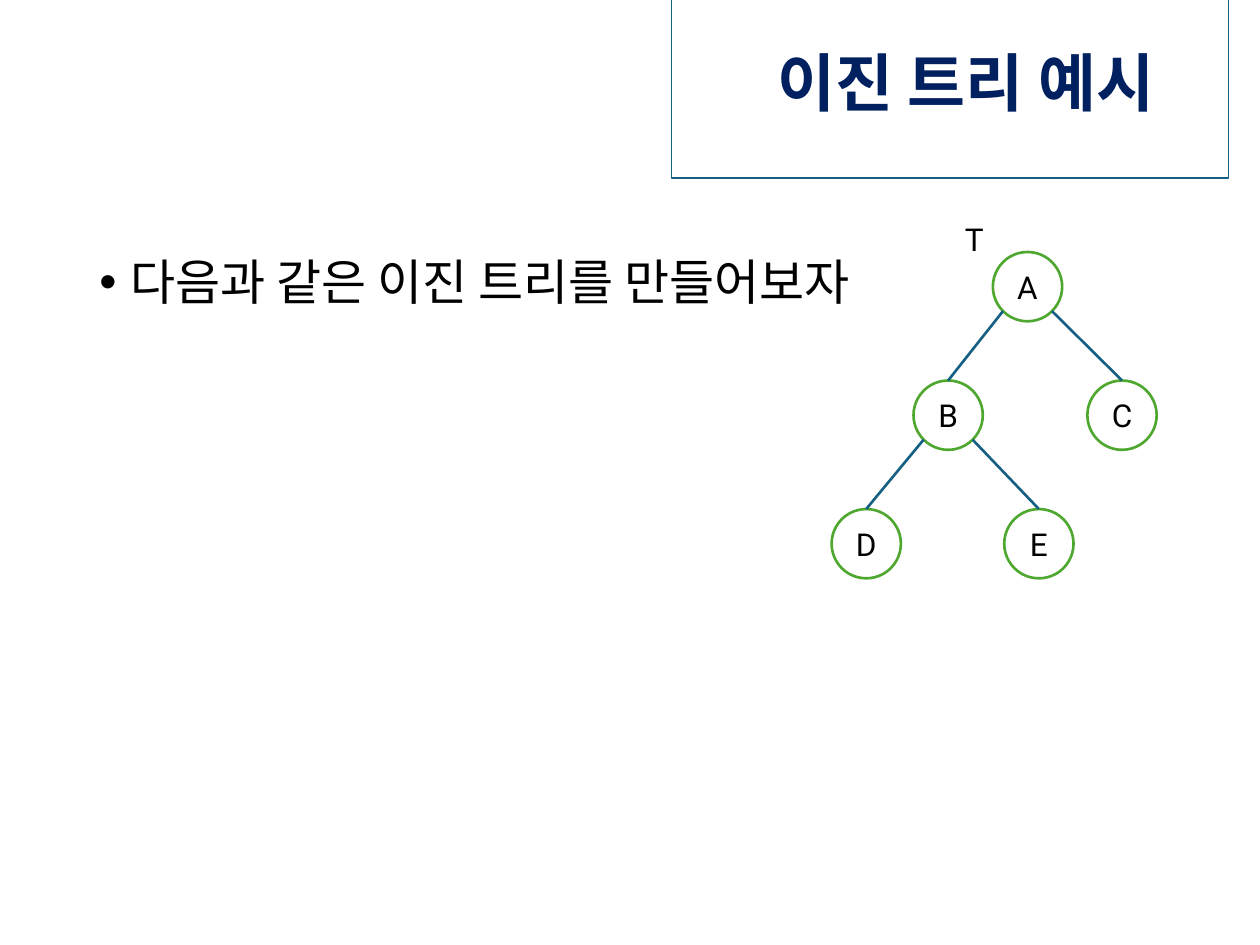
from lxml import etree
from pptx import Presentation
from pptx.dml.color import RGBColor
from pptx.enum import shapes, text
from pptx.oxml.ns import qn
from pptx.util import Inches, Pt

FONT = "Roboto"
SIZE = 0.55  # node diameter
CORNER = SIZE / 2 * 0.7071  # centre to diagonal point of a node
NODES = {"A": (7.88, 2), "B": (7.25, 3.02), "C": (8.63, 3.02),
         "D": (6.6, 4.04), "E": (7.97, 4.04)}
EDGES = ["AB", "AC", "BD", "BE"]


def color(code):
    return RGBColor.from_string(code)


def put_text(frame, words, size, code="000000", align=None, bold=False):
    para = frame.paragraphs[0]
    para.text = words
    para.alignment = align
    font = para.font
    font.name, font.size, font.bold = FONT, Pt(size), bold
    font.color.rgb = color(code)
    return para


def set_line(shape, code, width):
    shape.line.color.rgb = color(code)
    shape.line.width = Pt(width)


def add_title(slide, words):
    title = slide.shapes.title
    title.left, title.top = Inches(5.33), Inches(0.29)
    title.width, title.height = Inches(4.42), Inches(0.66)
    set_line(title, "156082", 0.75)
    frame = title.text_frame
    frame.word_wrap = False
    frame.auto_size = text.MSO_AUTO_SIZE.SHAPE_TO_FIT_TEXT
    frame.vertical_anchor = text.MSO_ANCHOR.MIDDLE
    frame.margin_left = frame.margin_right = Inches(0.59)
    frame.margin_top, frame.margin_bottom = Inches(0.12), 0
    para = put_text(frame, words, 36, "002060", text.PP_ALIGN.RIGHT, True)
    para.line_spacing = 0.9


def add_bullet(slide, words):
    box = slide.shapes.add_textbox(
        Inches(0.69), Inches(2), Inches(9.31), Inches(4.76))
    box.text_frame.word_wrap = True
    props = box.text_frame.paragraphs[0]._p.get_or_add_pPr()
    props.set("marL", str(Inches(0.25)))
    props.set("indent", str(-Inches(0.25)))
    etree.SubElement(props, qn("a:buFont")).set("typeface", "Arial")
    etree.SubElement(props, qn("a:buChar")).set("char", "•")
    para = put_text(box.text_frame, words, 28)
    para.line_spacing = 0.9


def add_node(slide, name):
    left, top = NODES[name]
    node = slide.shapes.add_shape(
        shapes.MSO_SHAPE.OVAL, Inches(left), Inches(top),
        Inches(SIZE), Inches(SIZE))
    node.shadow.inherit = False
    node.fill.solid()
    node.fill.fore_color.rgb = color("FFFFFF")
    set_line(node, "4EA72E", 1.5)
    node.text_frame.vertical_anchor = text.MSO_ANCHOR.MIDDLE
    put_text(node.text_frame, name, 18, align=text.PP_ALIGN.CENTER)


def add_edge(slide, parent, child):
    """Join the top of the child to the near lower corner of the parent."""
    (px, py), (cx, cy) = NODES[parent], NODES[child]
    half = SIZE / 2
    side = CORNER if cx > px else -CORNER
    edge = slide.shapes.add_connector(
        shapes.MSO_CONNECTOR.STRAIGHT, Inches(cx + half), Inches(cy),
        Inches(px + half + side), Inches(py + half + CORNER))
    set_line(edge, "156082", 1.5)
    etree.SubElement(edge._element.spPr, qn("a:effectLst"))


def add_label(slide, words):
    box = slide.shapes.add_textbox(
        Inches(7.56), Inches(1.7), Inches(0.32), Inches(0.4))
    box.text_frame.word_wrap = False
    box.text_frame.auto_size = text.MSO_AUTO_SIZE.SHAPE_TO_FIT_TEXT
    put_text(box.text_frame, words, 18)


def main():
    deck = Presentation()
    deck.slide_width, deck.slide_height = Inches(10), Inches(7.5)
    slide = deck.slides.add_slide(deck.slide_layouts[5])
    add_title(slide, "이진 트리 예시")
    add_bullet(slide, "다음과 같은 이진 트리를 만들어보자")
    # Binary tree
    for name in NODES:
        add_node(slide, name)
    for parent, child in EDGES:
        add_edge(slide, parent, child)
    add_label(slide, "T")
    deck.save("out.pptx")


if __name__ == "__main__":
    main()
